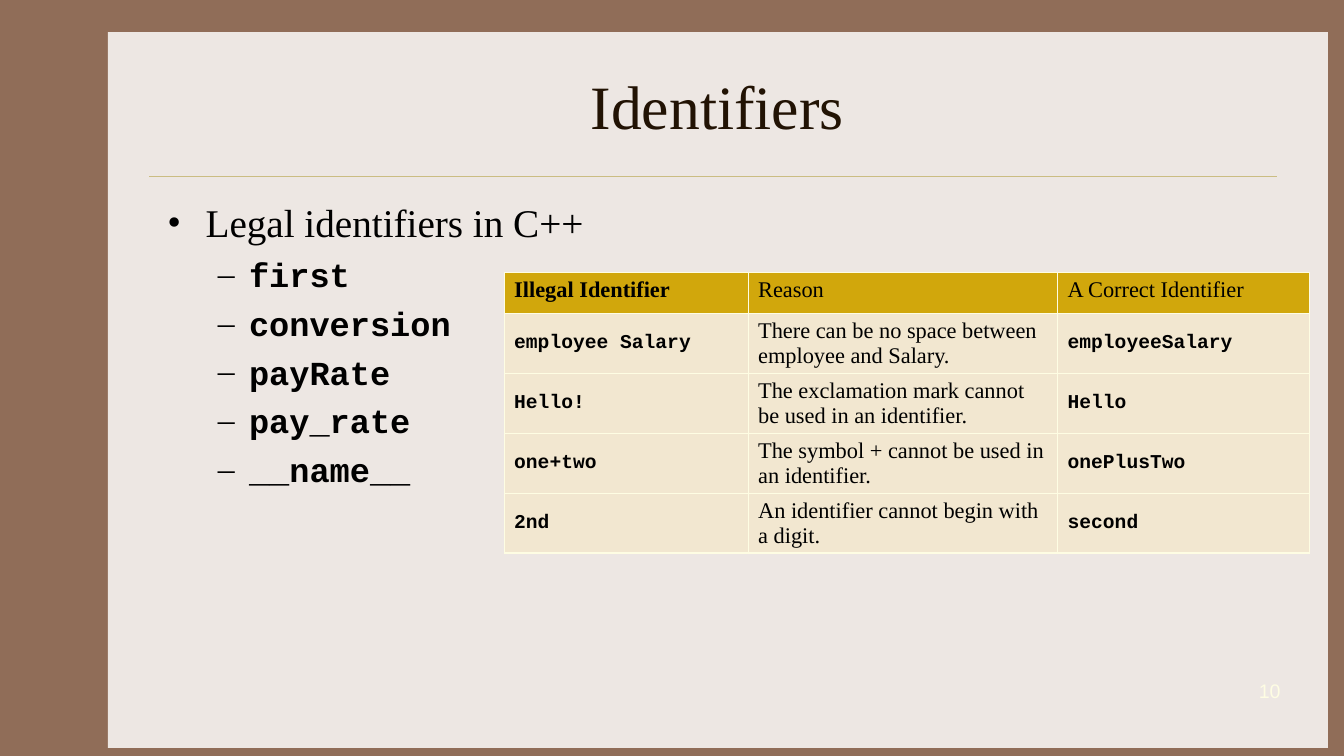
from dataclasses import dataclass

from lxml import etree
from pptx import Presentation
from pptx.dml.color import RGBColor
from pptx.enum.shapes import MSO_CONNECTOR, MSO_SHAPE
from pptx.enum.text import MSO_ANCHOR, MSO_AUTO_SIZE, PP_ALIGN
from pptx.oxml.ns import qn
from pptx.util import Inches, Pt

STRAIGHT = MSO_CONNECTOR.STRAIGHT
RECTANGLE = MSO_SHAPE.RECTANGLE
TOP, MIDDLE = MSO_ANCHOR.TOP, MSO_ANCHOR.MIDDLE
NO_AUTOFIT = MSO_AUTO_SIZE.NONE
CENTER, RIGHT = PP_ALIGN.CENTER, PP_ALIGN.RIGHT


@dataclass(frozen=True)
class Theme:
    frame: str = "906D58"
    panel: str = "EDE7E3"
    rule: str = "CBBD83"
    title: str = "221304"
    ink: str = "000000"
    header: str = "D1A70C"
    row: str = "F2E7D0"
    pale: str = "FEFDE3"
    serif: str = "Times New Roman"
    code: str = "Courier New"
    sans: str = "Arial"
    title_size: int = 44
    topic_size: int = 28
    name_size: int = 24
    cell_size: int = 16
    cell_code_size: int = 14
    number_size: int = 14


THEME = Theme()

LEGAL_NAMES = ["first", "conversion", "payRate", "pay_rate", "__name__"]
HEADINGS = ["Illegal Identifier", "Reason", "A Correct Identifier"]
CORRECTIONS = [
    ["employee Salary", "There can be no space between\nemployee and Salary.", "employeeSalary"],
    ["Hello!", "The exclamation mark cannot be used in an identifier.", "Hello"],
    ["one+two", "The symbol + cannot be used in an identifier.", "onePlusTwo"],
    ["2nd", "An identifier cannot begin with a digit.", "second"],
]
COLUMN_WIDTHS = [2.42, 3.07, 2.5]
HEADER_HEIGHT, ROW_HEIGHT = 0.41, 0.59


def apply(target, values):
    for name, value in values.items():
        setattr(target, name, value)


def style(paragraph, face, size, color, bold=False):
    apply(paragraph.font, {"name": face, "size": Pt(size), "bold": bold})
    paragraph.font.color.rgb = RGBColor.from_string(color)


def place(shape, box):
    apply(shape, dict(zip(("left", "top", "width", "height"), map(Inches, box))))


def add_bullet(paragraph, mark, margin, indent):
    properties = paragraph._p.get_or_add_pPr()
    properties.set("marL", str(Inches(margin)))
    properties.set("indent", str(Inches(indent)))
    etree.SubElement(properties, qn("a:buFont")).set("typeface", THEME.serif)
    etree.SubElement(properties, qn("a:buChar")).set("char", mark)


def add_borders(cell):
    properties = cell._tc.get_or_add_tcPr()
    for position, side in enumerate(("a:lnL", "a:lnR", "a:lnT", "a:lnB")):
        border = etree.Element(qn(side), w=str(Pt(1)))
        fill = etree.SubElement(border, qn("a:solidFill"))
        etree.SubElement(fill, qn("a:srgbClr")).set("val", THEME.pale)
        properties.insert(position, border)


def draw_backdrop(slide, box):
    left, top, width, _ = box
    slide.background.fill.solid()
    slide.background.fill.fore_color.rgb = RGBColor.from_string(THEME.frame)
    panel = slide.shapes.add_shape(RECTANGLE, *map(Inches, box))
    panel.shadow.inherit = False
    panel.fill.solid()
    panel.fill.fore_color.rgb = RGBColor.from_string(THEME.panel)
    panel.line.fill.background()
    rule_y = Inches(top + 1.43)
    rule = slide.shapes.add_connector(
        STRAIGHT, Inches(left + 0.41), rule_y, Inches(left + width - 0.5), rule_y)
    rule.line.color.rgb = RGBColor.from_string(THEME.rule)
    rule.line.width = Pt(0.25)
    etree.SubElement(rule._element.spPr, qn("a:effectLst"))
    for backdrop in (rule, panel):
        slide.shapes._spTree.insert(2, backdrop._element)


def fill_title(slide, box):
    title = slide.shapes.title
    place(title, box)
    title.text_frame.text = "Identifiers"
    apply(title.text_frame, {"vertical_anchor": MIDDLE, "auto_size": NO_AUTOFIT})
    heading = title.text_frame.paragraphs[0]
    heading.alignment = CENTER
    style(heading, THEME.serif, THEME.title_size, THEME.title)


def fill_legal_names(slide, box):
    body = slide.placeholders[1]
    place(body, box)
    frame = body.text_frame
    apply(frame, {"vertical_anchor": TOP, "auto_size": NO_AUTOFIT})
    topic = frame.paragraphs[0]
    apply(topic, {"text": "Legal identifiers in C++", "space_before": Pt(0)})
    add_bullet(topic, "•", 0.38, -0.38)
    style(topic, THEME.serif, THEME.topic_size, THEME.ink)
    for name in LEGAL_NAMES:
        item = frame.add_paragraph()
        apply(item, {"text": name, "level": 1, "space_before": Pt(6)})
        add_bullet(item, "–", 0.81, -0.31)
        style(item, THEME.code, THEME.name_size, THEME.ink, True)


def fill_cell(cell, text, face, size, bold, fill, anchor):
    cell.text = text
    cell.vertical_anchor = anchor
    cell.fill.solid()
    cell.fill.fore_color.rgb = RGBColor.from_string(fill)
    add_borders(cell)
    for paragraph in cell.text_frame.paragraphs:
        style(paragraph, face, size, THEME.ink, bold)


def add_corrections(slide, left, top):
    heights = [HEADER_HEIGHT] + [ROW_HEIGHT] * len(CORRECTIONS)
    table = slide.shapes.add_table(
        len(heights), len(HEADINGS), Inches(left), Inches(top),
        Inches(sum(COLUMN_WIDTHS)), Inches(sum(heights))).table
    for column, width in zip(table.columns, COLUMN_WIDTHS):
        column.width = Inches(width)
    for row, height in zip(table.rows, heights):
        row.height = Inches(height)
    for column, heading in enumerate(HEADINGS):
        fill_cell(table.cell(0, column), heading, THEME.serif, THEME.cell_size,
                  column == 0, THEME.header, TOP)
    for row, correction in enumerate(CORRECTIONS, 1):
        for column, text in enumerate(correction):
            is_code = column != 1
            face, size = ((THEME.code, THEME.cell_code_size) if is_code
                          else (THEME.serif, THEME.cell_size))
            fill_cell(table.cell(row, column), text, face, size, is_code, THEME.row, MIDDLE)


def add_page_number(slide, box):
    frame = slide.shapes.add_textbox(*map(Inches, box)).text_frame
    apply(frame, {"word_wrap": True, "vertical_anchor": MIDDLE})
    number = frame.paragraphs[0]
    apply(number, {"text": "10", "alignment": RIGHT})
    style(number, THEME.sans, THEME.number_size, THEME.pale)


def build_identifiers_slide(presentation):
    slide = presentation.slides.add_slide(presentation.slide_layouts[1])
    draw_backdrop(slide, (1.07, 0.32, 12.1, 7.1))
    fill_title(slide, (1.56, 0.42, 11.11, 1.25))
    fill_legal_names(slide, (1.56, 1.92, 5.44, 4.5))
    add_corrections(slide, 5, 2.7)
    add_page_number(slide, (11.8, 6.65, 1, 0.4))


def main():
    presentation = Presentation()
    apply(presentation, {"slide_width": Inches(13.33), "slide_height": Inches(7.5)})
    build_identifiers_slide(presentation)
    presentation.save("out.pptx")


if __name__ == "__main__":
    main()
